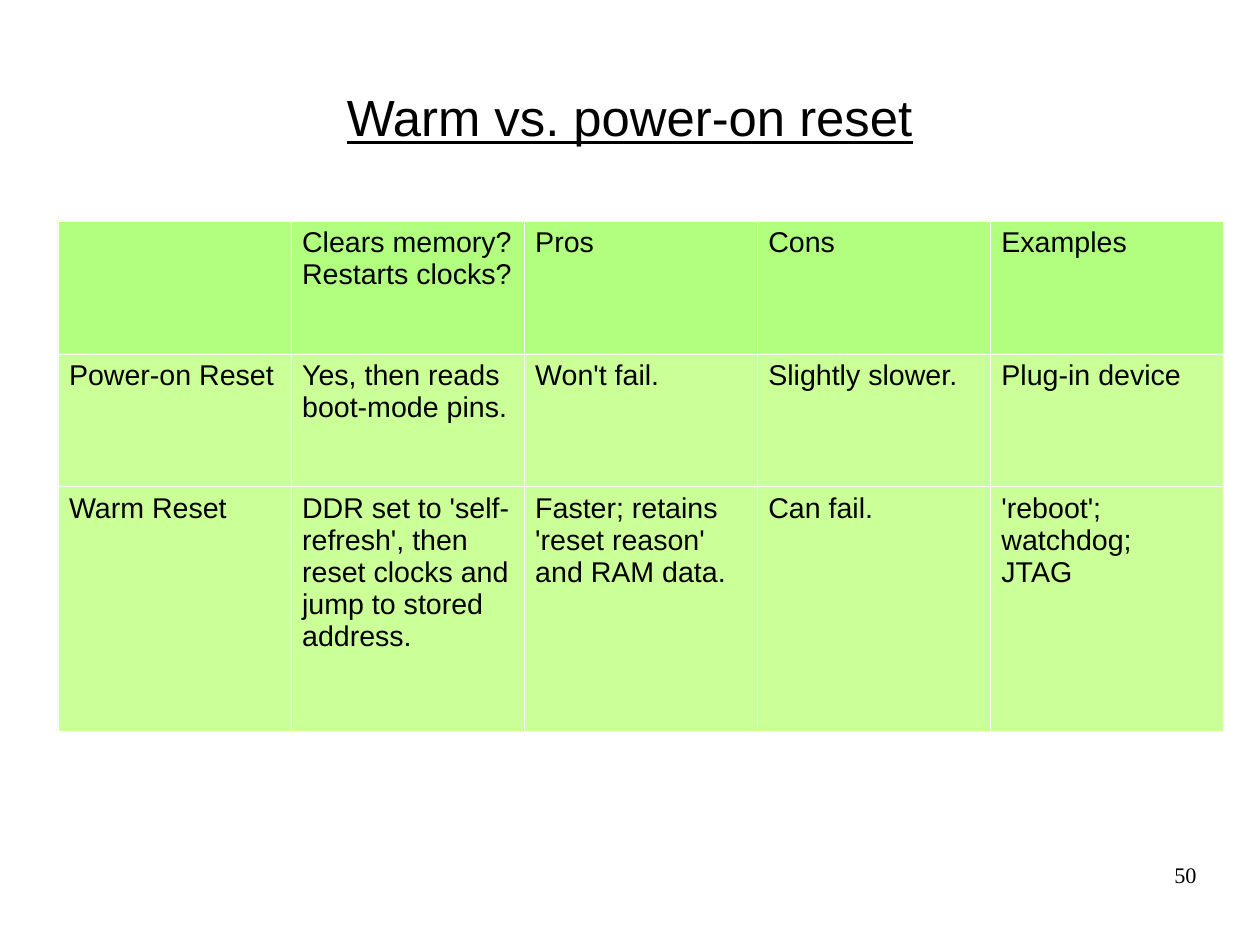
import lxml.etree
import pptx
import pptx.dml.color
import pptx.enum.text
import pptx.oxml.ns
import pptx.util
from pptx.util import Cm

HEADER_GREEN = "66FF00"
BODY_GREEN = "99FF33"
COLUMN_WIDTH = 5.18
ROW_HEIGHTS = [2.95, 2.95, 5.43]
ROWS = [
    ["", "Clears memory? Restarts clocks?", "Pros", "Cons", "Examples"],
    ["Power-on Reset", "Yes, then reads boot-mode pins.", "Won't fail.",
     "Slightly slower.", "Plug-in device"],
    ["Warm Reset",
     "DDR set to 'self-refresh', then reset clocks and jump to stored address.",
     "Faster; retains 'reset reason' and RAM data.", "Can fail.",
     "'reboot'; watchdog;\nJTAG"],
]


def color(value):
    return pptx.dml.color.RGBColor.from_string(value)


def add_element(parent, tag, **attributes):
    return lxml.etree.SubElement(parent, pptx.oxml.ns.qn(tag), attributes)


def format_text(text_frame, size, font_name, alignment=None, underline=None):
    for paragraph in text_frame.paragraphs:
        paragraph.alignment = alignment
        for run in paragraph.runs:
            run.font.size = pptx.util.Pt(size)
            run.font.name = font_name
            run.font.underline = underline
            run.font.color.rgb = color("000000")


def add_text(slide, left, top, width, height, text, anchor, **style):
    shape = slide.shapes.add_textbox(Cm(left), Cm(top), Cm(width), Cm(height))
    text_frame = shape.text_frame
    text_frame.word_wrap = True
    text_frame.vertical_anchor = anchor
    text_frame.margin_left = text_frame.margin_right = 0
    text_frame.margin_top = text_frame.margin_bottom = 0
    text_frame.text = text
    format_text(text_frame, **style)


def add_borders(cell, value):
    properties = cell._tc.get_or_add_tcPr()
    for side in ("a:lnL", "a:lnR", "a:lnT", "a:lnB"):
        line = add_element(properties, side, w="720")
        add_element(add_element(line, "a:solidFill"), "a:srgbClr", val=value)


def fill_cell(cell, value):
    cell.fill.solid()
    cell.fill.fore_color.rgb = color(value)
    for element in cell._tc.tcPr.findall(pptx.oxml.ns.qn("a:solidFill")):
        add_element(element[0], "a:alpha", val="50000")


def add_reset_table(slide, left, top):
    column_count = len(ROWS[0])
    table = slide.shapes.add_table(
        len(ROWS), column_count, Cm(left), Cm(top),
        Cm(COLUMN_WIDTH * column_count), Cm(sum(ROW_HEIGHTS))).table
    for column in table.columns:
        column.width = Cm(COLUMN_WIDTH)
    for row_index, (row, height, texts) in enumerate(
            zip(table.rows, ROW_HEIGHTS, ROWS)):
        row.height = Cm(height)
        for cell, text in zip(row.cells, texts):
            cell.text_frame.text = text
            format_text(cell.text_frame, 18, "Arial")
            add_borders(cell, "FFFFFF")
            fill_cell(cell, BODY_GREEN if row_index else HEADER_GREEN)


def main():
    presentation = pptx.Presentation()
    presentation.slide_width = Cm(28)
    presentation.slide_height = Cm(21)
    slide = presentation.slides.add_slide(presentation.slide_layouts[6])
    anchors = pptx.enum.text.MSO_ANCHOR
    alignments = pptx.enum.text.PP_ALIGN
    add_text(slide, 1.4, 0.84, 25.2, 3.5, "Warm vs. power-on reset",
             anchors.MIDDLE, size=32, font_name="Arial",
             alignment=alignments.CENTER, underline=True)
    add_reset_table(slide, 1.28, 4.91)
    add_text(slide, 20.07, 19.13, 6.52, 1.45, "50", anchors.TOP,
             size=14, font_name="Times New Roman", alignment=alignments.RIGHT)
    presentation.save("out.pptx")


if __name__ == "__main__":
    main()
